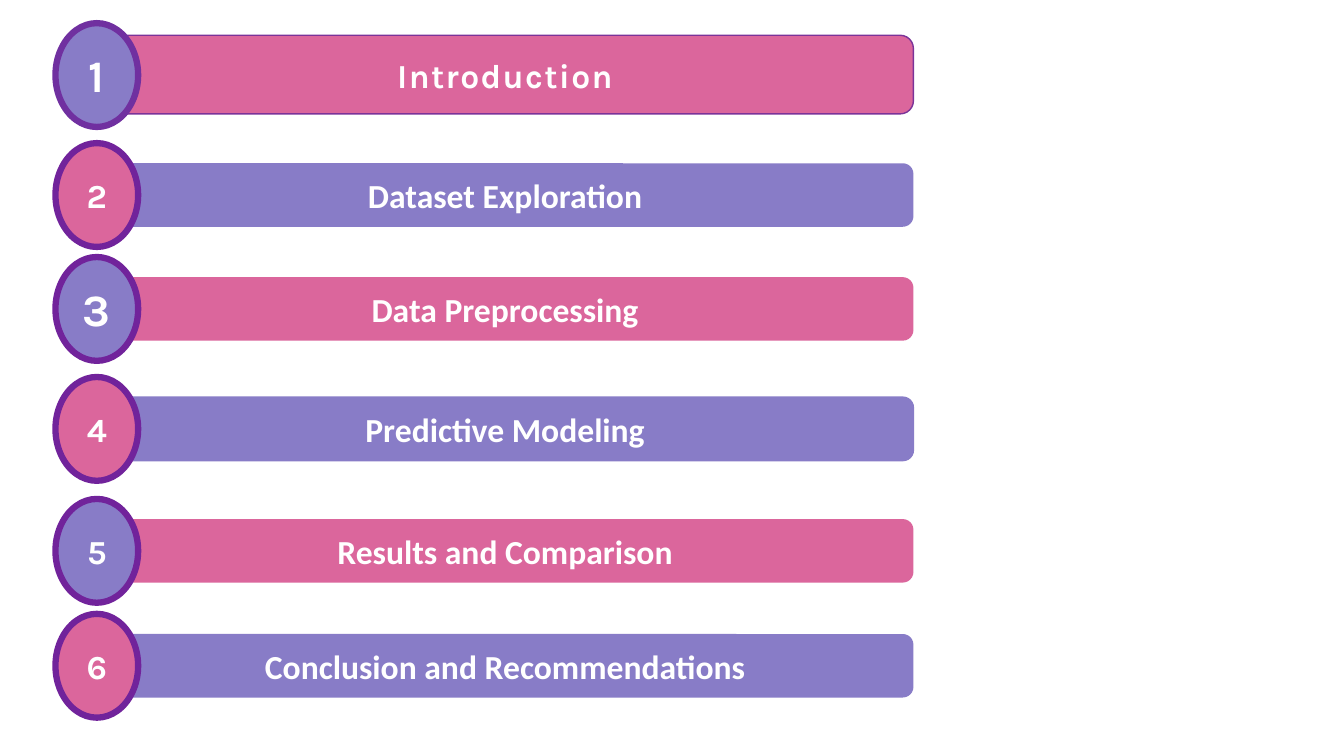
"""Builds an agenda slide of six numbered bars in alternating colours."""
from dataclasses import dataclass
from typing import Optional

from pptx import Presentation
from pptx.dml.color import RGBColor
from pptx.enum.shapes import MSO_SHAPE
from pptx.enum.text import MSO_ANCHOR, PP_ALIGN
from pptx.shapes.autoshape import Shape
from pptx.shapes.shapetree import GroupShapes
from pptx.util import Pt

ROUNDED = MSO_SHAPE.ROUNDED_RECTANGLE
OVAL = MSO_SHAPE.OVAL
MIDDLE = MSO_ANCHOR.MIDDLE
CENTER = PP_ALIGN.CENTER

PX = 9144
SLIDE_WIDTH, SLIDE_HEIGHT = 1333, 750
BADGE_LEFT, BADGE_WIDTH, BADGE_HEIGHT = 55, 82, 103
BAR_LEFT, BAR_WIDTH = 96, 810

WHITE = RGBColor(0xFF, 0xFF, 0xFF)
PINK = RGBColor(0xDB, 0x66, 0x9C)
LAVENDER = RGBColor(0x88, 0x7C, 0xC7)
PLUM = RGBColor(0x7B, 0x33, 0x99)
PURPLE = RGBColor(0x70, 0x30, 0xA0)
VIOLET = RGBColor(0x71, 0x23, 0x9B)


@dataclass(frozen=True)
class Topic:
    """One agenda row; top is the upper edge of its badge."""
    title: str
    top: int
    bar_height: int = 63
    bar_line: Optional[RGBColor] = None
    badge_line: RGBColor = VIOLET
    number_size: int = 24
    title_font: str = "Calibri"
    title_spacing: int = 0


TOPICS = [
    Topic("Introduction", 23, 78, PLUM, PURPLE, 32, "Karla", 100),
    Topic("Dataset Exploration", 142),
    Topic("Data Preprocessing", 255, number_size=32),
    Topic("Predictive Modeling", 374, bar_line=LAVENDER),
    Topic("Results and Comparison", 495),
    Topic("Conclusion and Recommendations", 609),
]


def add_label(shapes: GroupShapes, kind: MSO_SHAPE, box: tuple[int, int, int, int],
              fill: RGBColor, line: Optional[RGBColor], line_width: float,
              text: str, font_name: str, size: int, spacing: int = 0) -> Shape:
    """Add a filled shape with centred bold white text."""
    shape = shapes.add_shape(kind, *(length * PX for length in box))
    shape.shadow.inherit = False
    shape.fill.solid()
    shape.fill.fore_color.rgb = fill
    if line is None:
        shape.line.fill.background()
    else:
        shape.line.color.rgb = line
        shape.line.width = Pt(line_width)
    text_frame = shape.text_frame
    text_frame.text = text
    text_frame.vertical_anchor = MIDDLE
    paragraph = text_frame.paragraphs[0]
    paragraph.alignment = CENTER
    run = paragraph.runs[0]
    run.font.name = font_name
    run.font.size = Pt(size)
    run.font.bold = True
    run.font.color.rgb = WHITE
    if spacing:
        run.font._element.set("spc", str(spacing))
    return shape


def add_topic(shapes: GroupShapes, number: int, topic: Topic) -> None:
    """Add a bar and the numbered badge over its left end."""
    bar_fill, badge_fill = (PINK, LAVENDER) if number % 2 else (LAVENDER, PINK)
    bar_top = topic.top + (BADGE_HEIGHT - topic.bar_height) // 2
    add_label(shapes, ROUNDED, (BAR_LEFT, bar_top, BAR_WIDTH, topic.bar_height),
              bar_fill, topic.bar_line, 1, topic.title, topic.title_font, 24,
              topic.title_spacing)
    add_label(shapes, OVAL, (BADGE_LEFT, topic.top, BADGE_WIDTH, BADGE_HEIGHT),
              badge_fill, topic.badge_line, 4.5, str(number), "Karla",
              topic.number_size)


def main() -> None:
    """Build and save the presentation."""
    presentation = Presentation()
    presentation.slide_width = SLIDE_WIDTH * PX
    presentation.slide_height = SLIDE_HEIGHT * PX
    slide = presentation.slides.add_slide(presentation.slide_layouts[6])
    for number, topic in enumerate(TOPICS, start=1):
        add_topic(slide.shapes.add_group_shape().shapes, number, topic)
    presentation.save("out.pptx")


if __name__ == "__main__":
    main()
